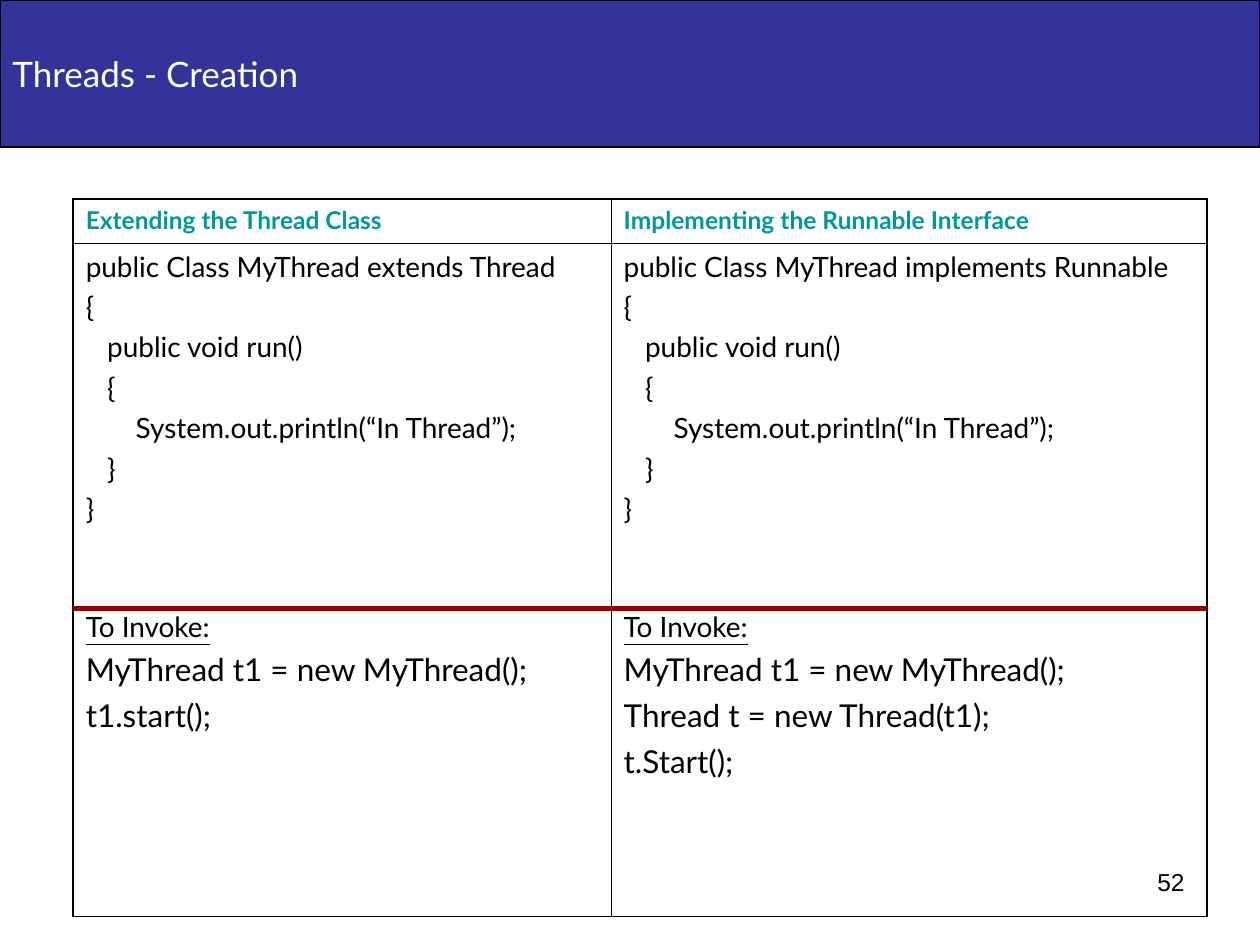
"""Build the slide that compares two ways of creating a thread."""
import pptx
import pptx.dml.color
import pptx.enum.shapes
import pptx.enum.text
import pptx.oxml
import pptx.oxml.ns
import pptx.util

Pt = pptx.util.Pt
RGBColor = pptx.dml.color.RGBColor
Align = pptx.enum.text.PP_ALIGN

NAVY = RGBColor(0x33, 0x33, 0x99)
TEAL = RGBColor(0x00, 0x99, 0x99)
RED = RGBColor(0x99, 0x00, 0x00)
BLACK = RGBColor(0x00, 0x00, 0x00)
WHITE = RGBColor(0xFF, 0xFF, 0xFF)

THICK, THIN = 1.08, 0.45
TABLE_LEFT, TABLE_TOP = 41.8, 113.8
COLUMN_WIDTHS = [307.4, 340.6]
ROW_HEIGHTS = [25.2, 384.8]
DIVIDER_TOP = 347.8

RUN_METHOD = [
    "{",
    "   public void run()",
    "   {",
    "       System.out.println(“In Thread”);",
    "   }",
    "}",
]
APPROACHES = [
    (
        "Extending the Thread Class",
        "public Class MyThread extends Thread",
        ["MyThread t1 = new MyThread();", "t1.start();"],
    ),
    (
        "Implementing the Runnable Interface",
        "public Class MyThread implements Runnable",
        ["MyThread t1 = new MyThread();", "Thread t = new Thread(t1);", "t.Start();"],
    ),
]


def write(frame, text, *, size, font="Lato", color=BLACK, bold=False,
          underline=False, before=0, align=Align.LEFT):
    paragraph = frame.paragraphs[0]
    if paragraph.runs:
        paragraph = frame.add_paragraph()
    paragraph.alignment = align
    paragraph.space_before = Pt(before)
    run = paragraph.add_run()
    run.text = text
    run.font.name = font
    run.font.size = Pt(size)
    run.font.color.rgb = color
    run.font.bold = bold
    run.font.underline = underline


class ThreadSlide:
    def __init__(self, presentation):
        self.slide = presentation.slides.add_slide(presentation.slide_layouts[6])
        self.line_color = BLACK

    def banner(self, text, left, top, width, height):
        shape = self.slide.shapes.add_shape(
            pptx.enum.shapes.MSO_SHAPE.RECTANGLE, Pt(left), Pt(top), Pt(width), Pt(height))
        shape.shadow.inherit = False
        shape.fill.solid()
        shape.fill.fore_color.rgb = NAVY
        shape.line.color.rgb = self.line_color
        shape.line.width = Pt(0.75)
        shape.text_frame.word_wrap = True
        shape.text_frame.vertical_anchor = pptx.enum.text.MSO_ANCHOR.MIDDLE
        write(shape.text_frame, text, size=20, color=WHITE)

    def table(self, left, top, widths, heights):
        table = self.slide.shapes.add_table(
            len(heights), len(widths), Pt(left), Pt(top),
            Pt(sum(widths)), Pt(sum(heights))).table
        table.first_row = False
        table.horz_banding = False
        for column, width in zip(table.columns, widths):
            column.width = Pt(width)
        for row, height in zip(table.rows, heights):
            row.height = Pt(height)
        last_row, last_column = len(heights) - 1, len(widths) - 1
        for row in range(len(heights)):
            for column in range(len(widths)):
                self.cell_style(table.cell(row, column), {
                    "L": column == 0, "R": column == last_column,
                    "T": row == 0, "B": row == last_row})
        return table

    def cell_style(self, cell, outer_sides):
        properties = cell._tc.get_or_add_tcPr()
        for side, outer in outer_sides.items():
            width = Pt(THICK if outer else THIN)
            properties.append(pptx.oxml.parse_xml(
                f'<a:ln{side} {pptx.oxml.ns.nsdecls("a")} w="{width}"><a:solidFill>'
                f'<a:srgbClr val="{self.line_color}"/></a:solidFill></a:ln{side}>'))
        cell.fill.background()

    def divider(self, left, top, width):
        connector = self.slide.shapes.add_connector(
            pptx.enum.shapes.MSO_CONNECTOR.STRAIGHT,
            Pt(left), Pt(top), Pt(left + width), Pt(top))
        connector.line.color.rgb = RED
        connector.line.width = Pt(3)
        connector._element.spPr.append(pptx.oxml.parse_xml(
            f'<a:effectLst {pptx.oxml.ns.nsdecls("a")}/>'))

    def page_number(self, text, left, top, width, height):
        box = self.slide.shapes.add_textbox(Pt(left), Pt(top), Pt(width), Pt(height))
        box.text_frame.word_wrap = True
        write(box.text_frame, text, size=14, font="Arial", align=Align.RIGHT)


def main():
    presentation = pptx.Presentation()
    presentation.slide_width = Pt(720)
    presentation.slide_height = Pt(540)
    page = ThreadSlide(presentation)
    page.banner("Threads - Creation", 0, 0, 720, 84)

    table = page.table(TABLE_LEFT, TABLE_TOP, COLUMN_WIDTHS, ROW_HEIGHTS)
    for column, (heading, declaration, calls) in enumerate(APPROACHES):
        write(table.cell(0, column).text_frame, heading, size=14, color=TEAL, bold=True)
        body = table.cell(1, column).text_frame
        write(body, declaration, size=16)
        for line in RUN_METHOD:
            write(body, line, size=16, before=4)
        write(body, "To Invoke:", size=16, underline=True, before=48)
        for call in calls:
            write(body, call, size=18, before=4.5)

    page.divider(TABLE_LEFT, DIVIDER_TOP, sum(COLUMN_WIDTHS))
    page.page_number("52", 516, 492, 168, 37.5)
    presentation.save("out.pptx")


if __name__ == "__main__":
    main()
